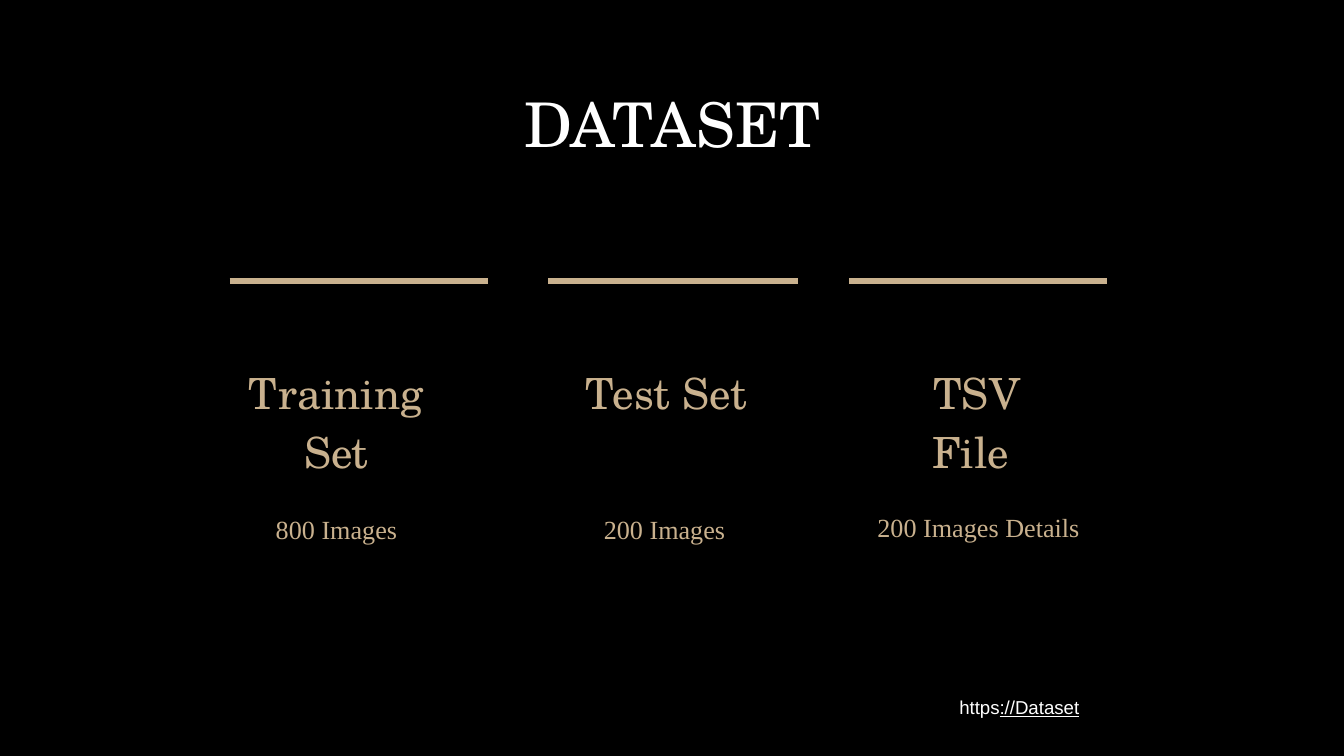
from lxml.etree import SubElement
from pptx import Presentation
from pptx.dml.color import RGBColor
from pptx.enum.shapes import MSO_CONNECTOR
from pptx.enum.text import MSO_ANCHOR, PP_ALIGN
from pptx.oxml.ns import qn
from pptx.util import Cm, Pt

BLACK = RGBColor(0x00, 0x00, 0x00)
WHITE = RGBColor(0xFF, 0xFF, 0xFF)
GOLD = RGBColor(0xC9, 0xB1, 0x8E)
SERIF = "TeX Gyre Schola"
ROMAN = "Times New Roman"

# Rule (left, right), heading (left, text), note (left, top, width, text), in cm
COLUMNS = [
    ((4.34, 9.22), (4.34, "Training Set"), (4.95, 9.58, 2.82, "800 Images")),
    ((10.36, 15.09), (10.57, "Test Set"), (11.15, 9.58, 2.82, "200 Images")),
    ((16.05, 20.93), (16.33, " TSV File"),
     (16.31, 9.53, 4.37, "200 Images Details")),
]


def add_text(slide, text, box, size, font, color=GOLD, align=PP_ALIGN.CENTER,
             pad=0.13, wrap=True, leading=None, after=0, under=""):
    """Add a text box; the words in `under` follow underlined."""
    frame = slide.shapes.add_textbox(*map(Cm, box)).text_frame
    frame.word_wrap = wrap
    frame.vertical_anchor = MSO_ANCHOR.TOP
    frame.margin_left = frame.margin_right = Cm(0.25)
    frame.margin_top = frame.margin_bottom = Cm(pad)
    para = frame.paragraphs[0]
    para.alignment = align
    para.line_spacing = leading
    para.space_after = Pt(after)
    for part, line in ((text, False), (under, True)):
        if part:
            run = para.add_run()
            run.text = part
            run.font.name = font
            run.font.size = Pt(size)
            run.font.color.rgb = color
            run.font.underline = line


def add_rule(slide, left, right, top):
    rule = slide.shapes.add_connector(
        MSO_CONNECTOR.STRAIGHT, Cm(left), Cm(top), Cm(right), Cm(top))
    rule.line.color.rgb = GOLD
    rule.line.width = Pt(3)
    SubElement(rule.line._get_or_add_ln().getparent(), qn("a:effectLst"))


def add_column(slide, rule, head, note):
    add_rule(slide, *rule, top=5.31)
    left, text = head
    add_text(slide, text, (left, 6.53, 4.04, 1.32), 23, SERIF,
             pad=0.25, leading=1.15, after=16)
    left, top, width, text = note
    add_text(slide, text, (left, top, width, 0.86), 14, ROMAN,
             wrap=False, after=16)


def main():
    deck = Presentation()
    deck.slide_width, deck.slide_height = Cm(25.4), Cm(14.29)
    slide = deck.slides.add_slide(deck.slide_layouts[6])
    fill = slide.background.fill
    fill.solid()
    fill.fore_color.rgb = BLACK

    # Title
    add_text(slide, "DATASET", (1.96, 1.37, 21.51, 1.83), 33, SERIF,
             color=WHITE, pad=0.25)

    # Three parts of the dataset
    for column in COLUMNS:
        add_column(slide, *column)

    # Source address
    add_text(slide, "https", (17.88, 13.03, 3.05, 0.71), 10, "Arial",
             color=WHITE, align=PP_ALIGN.LEFT, under="://Dataset")

    deck.save("out.pptx")


if __name__ == "__main__":
    main()
